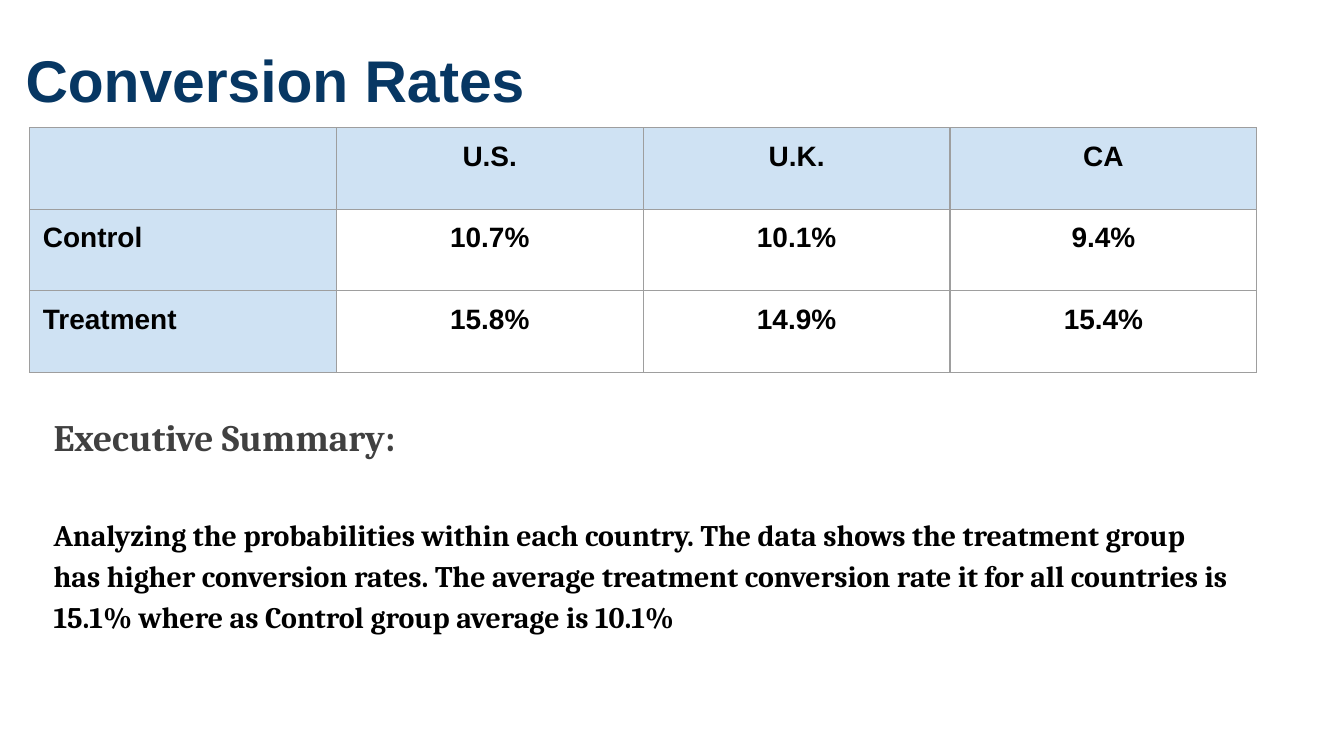
import pptx
import pptx.dml.color
import pptx.enum.text
import pptx.oxml
import pptx.oxml.ns
import pptx.util

Pt = pptx.util.Pt
ALIGN = pptx.enum.text.PP_ALIGN
ANCHOR = pptx.enum.text.MSO_ANCHOR
INSET = Pt(7.2)
RATES = [
    ["", "U.S.", "U.K.", "CA"],
    ["Control", "10.7%", "10.1%", "9.4%"],
    ["Treatment", "15.8%", "14.9%", "15.4%"],
]
SUMMARY = (
    "Analyzing the probabilities within each country. The data shows the treatment group "
    "has higher conversion rates. The average treatment conversion rate it for all countries is "
    "15.1% where as Control group average is 10.1%"
)


def color(hex_value):
    """Return the colour for a hex string."""
    return pptx.dml.color.RGBColor.from_string(hex_value)


def write(paragraph, text, *, size, font="Arial", fill="000000",
          align=ALIGN.LEFT, spacing=1.0, before=0):
    """Put bold formatted text into a paragraph."""
    paragraph.text = text
    paragraph.alignment = align
    paragraph.line_spacing = spacing
    paragraph.space_before = Pt(before)
    paragraph.font.size = Pt(size)
    for target in [paragraph, *paragraph.runs]:
        target.font.name = font
        target.font.size = Pt(size)
        target.font.bold = True
        target.font.color.rgb = color(fill)


def prepare_frame(frame, anchor):
    """Set the insets, wrapping and anchor of a text frame."""
    frame.margin_left = frame.margin_right = INSET
    frame.margin_top = frame.margin_bottom = INSET
    frame.word_wrap = True
    frame.auto_size = pptx.enum.text.MSO_AUTO_SIZE.NONE
    frame.vertical_anchor = anchor


def add_title(slide, left, top, width, height):
    """Place the slide title."""
    title = slide.shapes.title
    title.left, title.top, title.width, title.height = map(Pt, (left, top, width, height))
    prepare_frame(title.text_frame, ANCHOR.BOTTOM)
    write(title.text_frame.paragraphs[0], "Conversion Rates", size=31.5, fill="073763")


def format_cell(cell, fill):
    """Give a cell its insets, borders and fill."""
    cell.margin_left = cell.margin_right = INSET
    cell.margin_top = cell.margin_bottom = INSET
    properties = cell._tc.get_or_add_tcPr()
    for side in ("lnL", "lnR", "lnT", "lnB"):
        properties.append(pptx.oxml.parse_xml(
            f'<a:{side} {pptx.oxml.ns.nsdecls("a")} w="{Pt(0.75)}">'
            f'<a:solidFill><a:srgbClr val="9E9E9E"/></a:solidFill></a:{side}>'
        ))
    cell.fill.solid()
    cell.fill.fore_color.rgb = color(fill)


def add_rates_table(slide, left, top, width, height):
    """Place the table of conversion rates by group and country."""
    table = slide.shapes.add_table(
        len(RATES), len(RATES[0]), Pt(left), Pt(top), Pt(width), Pt(height)).table
    table.horz_banding = False
    for column in table.columns:
        column.width = Pt(width / len(RATES[0]))
    for row_index, values in enumerate(RATES):
        table.rows[row_index].height = Pt(height / len(RATES))
        for column_index, value in enumerate(values):
            cell = table.cell(row_index, column_index)
            is_header = row_index == 0 or column_index == 0
            format_cell(cell, "CFE2F3" if is_header else "FFFFFF")
            write(cell.text_frame.paragraphs[0], value, size=15,
                  align=ALIGN.CENTER if column_index else ALIGN.LEFT)


def add_summary(slide, left, top, width, height):
    """Place the executive summary heading and its text."""
    box = slide.shapes.add_textbox(Pt(left), Pt(top), Pt(width), Pt(height))
    frame = box.text_frame
    prepare_frame(frame, ANCHOR.TOP)
    write(frame.paragraphs[0], "Executive Summary:", size=20, font="Cambria",
          fill="404040", spacing=1.15)
    write(frame.add_paragraph(), SUMMARY, size=16, font="Cambria",
          spacing=1.15, before=28)


def main():
    """Build and save the presentation."""
    presentation = pptx.Presentation()
    presentation.slide_width = Pt(720)
    presentation.slide_height = Pt(405)
    slide = presentation.slides.add_slide(presentation.slide_layouts[5])
    add_title(slide, 6.5, 16, 720, 52.5)
    add_rates_table(slide, 15.8, 68.4, 657.6, 131.1)
    add_summary(slide, 21.6, 211, 646.6, 212.4)
    presentation.save("out.pptx")


if __name__ == "__main__":
    main()
